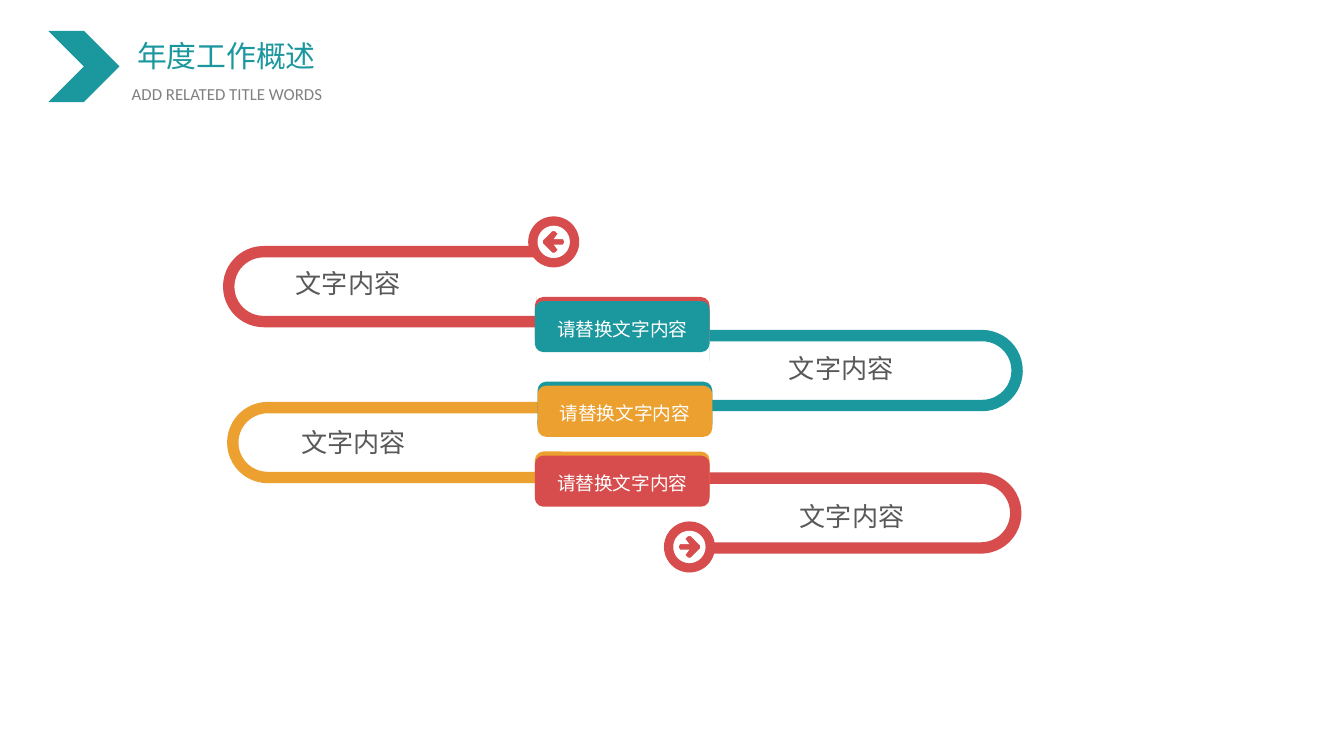
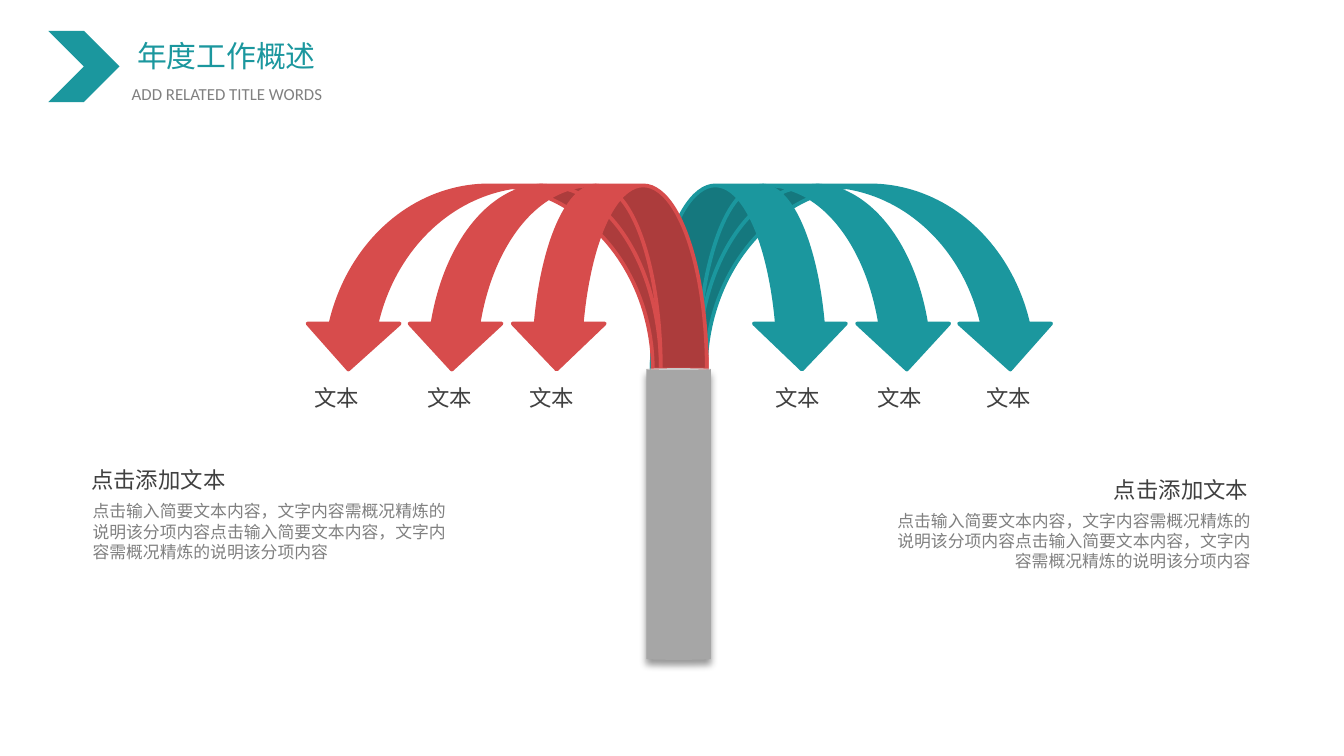
from math import cos, pi, sin

from lxml.etree import SubElement
from pptx import Presentation
from pptx.dml.color import RGBColor
from pptx.enum.shapes import MSO_SHAPE
from pptx.enum.text import MSO_ANCHOR, MSO_AUTO_SIZE, PP_ALIGN
from pptx.oxml.ns import qn
from pptx.util import Inches, Pt

TEAL = RGBColor(0x1B, 0x97, 0x9E)
RED = RGBColor(0xD7, 0x4C, 0x4C)
ORANGE = RGBColor(0xEC, 0xA0, 0x2F)
STEM_GRAY = RGBColor(0xA6, 0xA6, 0xA6)
BODY_GRAY = RGBColor(0x80, 0x80, 0x80)
LABEL_GRAY = RGBColor(0x59, 0x59, 0x59)
DARK_GRAY = RGBColor(0x40, 0x40, 0x40)
WHITE = RGBColor(0xFF, 0xFF, 0xFF)
CJK_FONT = "Noto Sans CJK SC"
BODY_TEXT = "点击输入简要文本内容，文字内容需概况精炼的说明该分项内容" * 2
ICON_ARROW = [(-0.01, -0.08), (-0.03, -0.06), (0.0, -0.02), (-0.07, -0.02),
              (-0.08, 0.0), (-0.07, 0.02), (0.0, 0.02), (-0.03, 0.06),
              (-0.01, 0.08), (0.01, 0.08), (0.08, 0.01), (0.08, -0.01),
              (0.01, -0.08)]


def place(left, top, width, height):
    """Turn a box in inches into lengths."""
    return [Inches(value) for value in (left, top, width, height)]


def add_run(para, words, size, color, font):
    """Add one styled run to a paragraph."""
    span = para.add_run()
    span.text = words
    span.font.size = Pt(size)
    span.font.color.rgb = color
    span.font.name = font
    if font == CJK_FONT:
        SubElement(span.font._element, qn("a:ea"), typeface=font)


def set_insets(frame, across, down):
    """Set the inner margins of a text frame."""
    frame.margin_left = frame.margin_right = Inches(across)
    frame.margin_top = frame.margin_bottom = Inches(down)


def add_text(page, at, words, size, color, font=CJK_FONT, align=None,
             insets=(0.1, 0.05), wrap=True):
    """Add a text box that grows with its text."""
    box = page.shapes.add_textbox(*place(*at))
    frame = box.text_frame
    frame.word_wrap = wrap
    frame.auto_size = MSO_AUTO_SIZE.SHAPE_TO_FIT_TEXT
    set_insets(frame, *insets)
    para = frame.paragraphs[0]
    para.alignment = align
    add_run(para, words, size, color, font)


def paint(shape, fill, line_width=0):
    """Fill a shape without shadow, with an optional line of the same colour."""
    shape.shadow.inherit = False
    shape.fill.solid()
    shape.fill.fore_color.rgb = fill
    if line_width:
        shape.line.color.rgb = fill
        shape.line.width = Pt(line_width)
    else:
        shape.line.fill.background()


def add_shape(page, kind, at, fill, line_width=0, adjustments=(), flip=None):
    """Add a preset shape with optional adjustments and a flip attribute."""
    shape = page.shapes.add_shape(kind, *place(*at))
    paint(shape, fill, line_width)
    for index, value in enumerate(adjustments):
        shape.adjustments[index] = value
    if flip:
        shape.element.spPr.get_or_add_xfrm().set(flip, "1")
    return shape


def add_header(page):
    """Add the chevron, title and subtitle that every page shares."""
    add_text(page, (0.94, 0.24, 2.01, 0.35), "年度工作概述", 16, TEAL,
             align=PP_ALIGN.JUSTIFY, insets=(0.08, 0.04))
    add_text(page, (0.9, 0.58, 2.05, 0.23), "ADD RELATED TITLE WORDS", 9, BODY_GRAY,
             "Calibri", PP_ALIGN.JUSTIFY, (0.08, 0.04))
    add_shape(page, MSO_SHAPE.CHEVRON, (0.36, 0.23, 0.53, 0.53), TEAL)


def add_loop(page, left, top, rotation, color):
    """Add a lying U-shaped band."""
    loop = add_shape(page, MSO_SHAPE.U_TURN_ARROW, (left, top, 0.75, 2.33), color,
                     adjustments=(0.113, 0.25, 0, 0.403, 1), flip="flipV")
    loop.rotation = rotation


def add_plate(page, left, top, back, front):
    """Add a labelled plate with a coloured edge behind it."""
    add_shape(page, MSO_SHAPE.ROUNDED_RECTANGLE, (left, top, 1.3, 0.38), back)
    plate = add_shape(page, MSO_SHAPE.ROUNDED_RECTANGLE,
                      (left, top + 0.03, 1.3, 0.38), front)
    frame = plate.text_frame
    frame.word_wrap = True
    frame.vertical_anchor = MSO_ANCHOR.MIDDLE
    set_insets(frame, 0.14, 0.07)
    para = frame.paragraphs[0]
    para.alignment = PP_ALIGN.CENTER
    para.line_spacing = 1.2
    add_run(para, "请替换文字内容", 10, WHITE, "Arial")


def add_badge(page, left, top, direction):
    """Add a ring with an arrow cut out; direction is 1 for right, -1 for left."""
    add_shape(page, MSO_SHAPE.OVAL, (left, top, 0.38, 0.38), RED)
    middle_x, middle_y = left + 0.19, top + 0.19

    def points(offsets):
        """Turn offsets from the badge middle into slide positions."""
        return [(Inches(middle_x + direction * x), Inches(middle_y + y))
                for x, y in offsets]

    disc = points((0.12 * cos(step * pi / 24), 0.12 * sin(step * pi / 24))
                  for step in range(48))
    arrow = points(ICON_ARROW)
    builder = page.shapes.build_freeform(*disc[0])
    builder.add_line_segments(disc[1:])
    builder.move_to(*arrow[0])
    builder.add_line_segments(arrow[1:])
    paint(builder.convert_to_shape(), WHITE)


def add_stem(page):
    """Add the gray trunk with its soft shadow."""
    stem = add_shape(page, MSO_SHAPE.CAN, (4.81, 2.74, 0.48, 2.17), STEM_GRAY,
                     adjustments=(0.027,))
    effects = stem.element.spPr.find(qn("a:effectLst"))
    shadow = SubElement(effects, qn("a:outerShdw"), blurRad=str(Pt(4)),
                        dist=str(Pt(3)), dir="5400000", algn="t", rotWithShape="0")
    color = SubElement(shadow, qn("a:srgbClr"), val="000000")
    SubElement(color, qn("a:alpha"), val="40000")


def build_loops(page):
    """Build the page of winding bands."""
    add_header(page)
    for loop in ((6.07, 1.52, 270, TEAL), (2.45, 1.04, 90, RED),
                 (2.48, 2.2, 90, ORANGE), (6.06, 2.58, 270, RED)):
        add_loop(page, *loop)
    for plate in ((3.98, 2.21, RED, TEAL), (4.0, 2.84, TEAL, ORANGE),
                  (3.98, 3.36, ORANGE, RED)):
        add_plate(page, *plate)
    add_badge(page, 4.94, 3.88, 1)
    add_badge(page, 3.93, 1.61, -1)
    for left, top, width in ((2.2, 1.99, 1.11), (5.87, 2.62, 1.49),
                             (2.24, 3.17, 0.95), (5.95, 3.72, 1.02)):
        add_text(page, (left, top, width, 0.24), "文字内容", 14, LABEL_GRAY,
                 "Arial", insets=(0, 0))


def build_fountain(page):
    """Build the page of arrows that spring from one stem."""
    add_header(page)
    for left, top, width, title_left, align in (
            (6.57, 3.75, 2.83, 8.19, PP_ALIGN.RIGHT),
            (0.59, 3.68, 2.91, 0.58, None)):
        add_text(page, (left, top, width, 0.56), BODY_TEXT, 9, BODY_GRAY, align=align)
        add_text(page, (title_left, top - 0.26, 1.21, 0.3), "点击添加文本", 12,
                 DARK_GRAY, wrap=False)
    arrows = ((4.91, 2.95), (4.85, 2.24), (4.85, 1.46))
    for left, width in arrows:
        add_shape(page, MSO_SHAPE.CURVED_DOWN_ARROW, (left, 1.38, width, 1.37), TEAL, 2)
    for left, width in arrows:
        add_shape(page, MSO_SHAPE.CURVED_DOWN_ARROW,
                  (10.11 - left - width, 1.38, width, 1.37), RED, 2, flip="flipH")
    add_stem(page)
    for left in (2.24, 3.08, 3.84, 5.67, 6.43, 7.24):
        add_text(page, (left, 2.81, 0.54, 0.3), "文本", 12, DARK_GRAY, wrap=False)


def main():
    """Build and save the deck."""
    deck = Presentation()
    deck.slide_width = Inches(10)
    deck.slide_height = Inches(10) * 9 // 16
    for build in (build_loops, build_fountain):
        build(deck.slides.add_slide(deck.slide_layouts[6]))
    deck.save("out.pptx")


if __name__ == "__main__":
    main()
